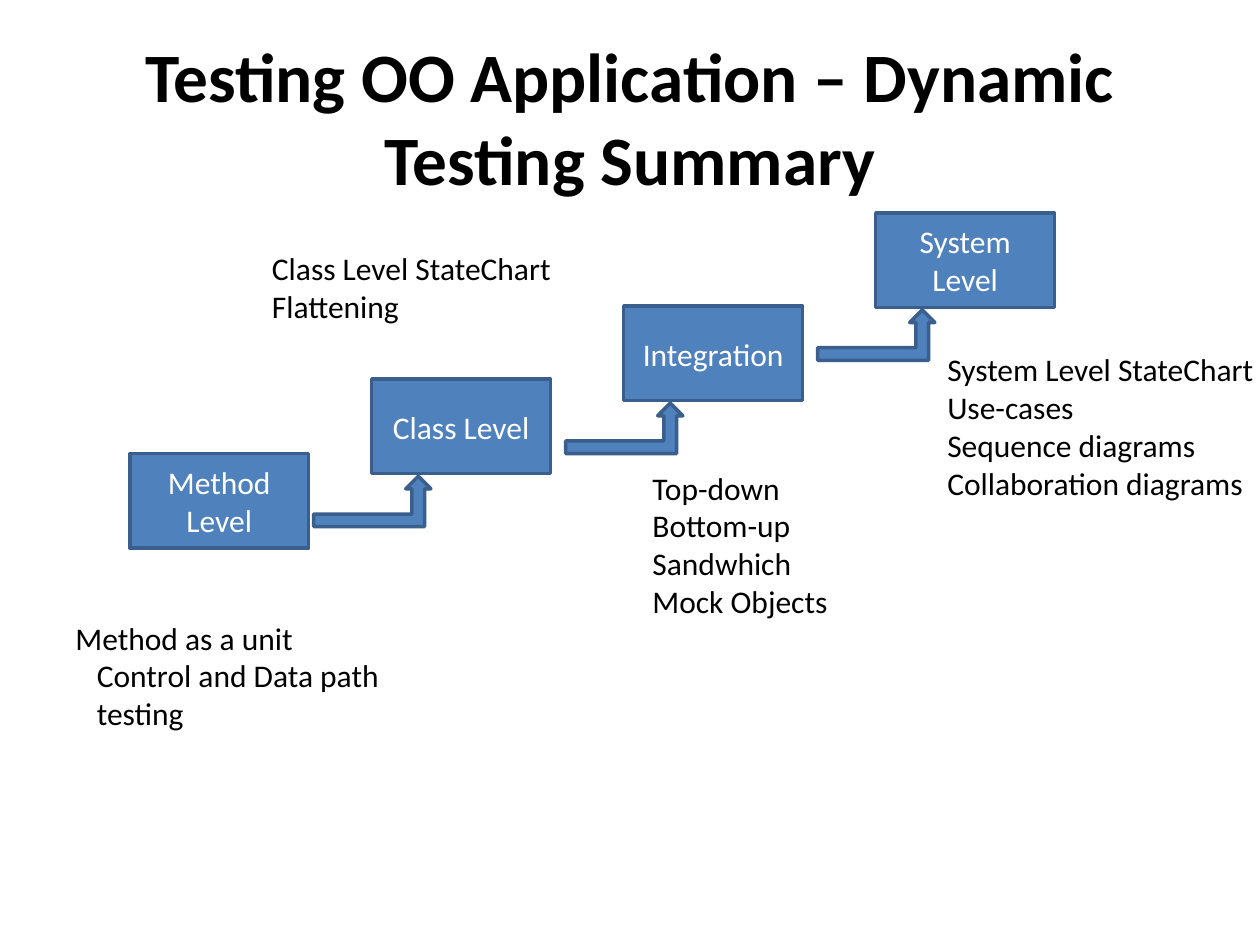
from dataclasses import dataclass
from typing import Any

from pptx import Presentation
from pptx.dml.color import RGBColor
from pptx.enum.shapes import MSO_SHAPE as Preset
from pptx.enum.text import MSO_ANCHOR as Anchor, PP_ALIGN as Align
from pptx.util import Inches, Pt

COLORS = {"fill": "4F81BD", "line": "3A5F8C", "light": "FFFFFF", "dark": "000000"}
COLUMNS, ROWS = 100, 75
LEVEL_WIDTH, LEVEL_HEIGHT = 14.2, 7.5
ARROW_WIDTH, ARROW_HEIGHT = 9.3, 4
ARROW_LEAD, ARROW_GAP = 4.6, 0.2


@dataclass
class StepSlide:
    slide: Any
    width: int
    height: int
    font: str = "Calibri"
    size: float = 18

    def area(self, column, row, columns, rows):
        across, down = self.width / COLUMNS, self.height / ROWS
        return [round(n) for n in (column * across, row * down, columns * across, rows * down)]

    def add_words(self, paragraph, words, color, size=None, bold=False):
        run = paragraph.add_run()
        run.text = words
        run.font.name = self.font
        run.font.size = Pt(size or self.size)
        run.font.bold = bold
        run.font.color.rgb = RGBColor.from_string(COLORS[color])

    def shape(self, preset, *place):
        shape = self.slide.shapes.add_shape(preset, *self.area(*place))
        shape.shadow.inherit = False
        shape.fill.solid()
        shape.fill.fore_color.rgb = RGBColor.from_string(COLORS["fill"])
        shape.line.color.rgb = RGBColor.from_string(COLORS["line"])
        shape.line.width = Pt(2)
        return shape

    def level(self, words, column, row):
        frame = self.shape(Preset.RECTANGLE, column, row, LEVEL_WIDTH, LEVEL_HEIGHT).text_frame
        frame.word_wrap = True
        frame.vertical_anchor = Anchor.MIDDLE
        frame.paragraphs[0].alignment = Align.CENTER
        self.add_words(frame.paragraphs[0], words, "light")

    def arrow_to(self, column, row):
        self.shape(Preset.BENT_UP_ARROW, column - ARROW_LEAD, row + LEVEL_HEIGHT + ARROW_GAP,
                   ARROW_WIDTH, ARROW_HEIGHT)

    def text_frame(self, *place):
        frame = self.slide.shapes.add_textbox(*self.area(*place)).text_frame
        frame.word_wrap = True
        return frame

    def title(self, words, *place):
        frame = self.text_frame(*place)
        frame.vertical_anchor = Anchor.MIDDLE
        frame.paragraphs[0].alignment = Align.CENTER
        self.add_words(frame.paragraphs[0], words, "dark", 39.6, True)

    def notes(self, place, lines, indented=()):
        frame = self.text_frame(*place)
        for index, words in enumerate([*lines, *indented]):
            paragraph = frame.add_paragraph() if index else frame.paragraphs[0]
            if index >= len(lines):
                paragraph._p.get_or_add_pPr().set("marL", str(Inches(0.17)))
            self.add_words(paragraph, words, "dark")


def main():
    deck = Presentation()
    deck.slide_width, deck.slide_height = Inches(10), Inches(7.5)
    summary = StepSlide(deck.slides.add_slide(deck.slide_layouts[6]),
                        deck.slide_width, deck.slide_height)

    summary.title("Testing OO Application – Dynamic Testing Summary", 5, 3, 90, 12.5)

    levels = [("Method Level", 10.3, 36), ("Class Level", 29.5, 30.1),
              ("Integration", 49.5, 24.3), ("System Level", 69.5, 16.9)]
    for name, column, row in levels:
        summary.level(name, column, row)
    for _, column, row in levels[1:]:
        summary.arrow_to(column, row)

    summary.notes((5, 48.6, 27.5, 10.1), ["Method as a unit"],
                  ["Control and Data path", "testing"])
    summary.notes((20.6, 19.3, 27.1, 7.1), ["Class Level StateChart", "Flattening"])
    summary.notes((50.8, 36.7, 26.7, 13.1),
                  ["Top-down", "Bottom-up", "Sandwhich", "Mock Objects"])
    summary.notes((74.2, 27.3, 26.7, 13.1),
                  ["System Level StateChart", "Use-cases", "Sequence diagrams",
                   "Collaboration diagrams"])

    deck.save("out.pptx")


if __name__ == "__main__":
    main()
